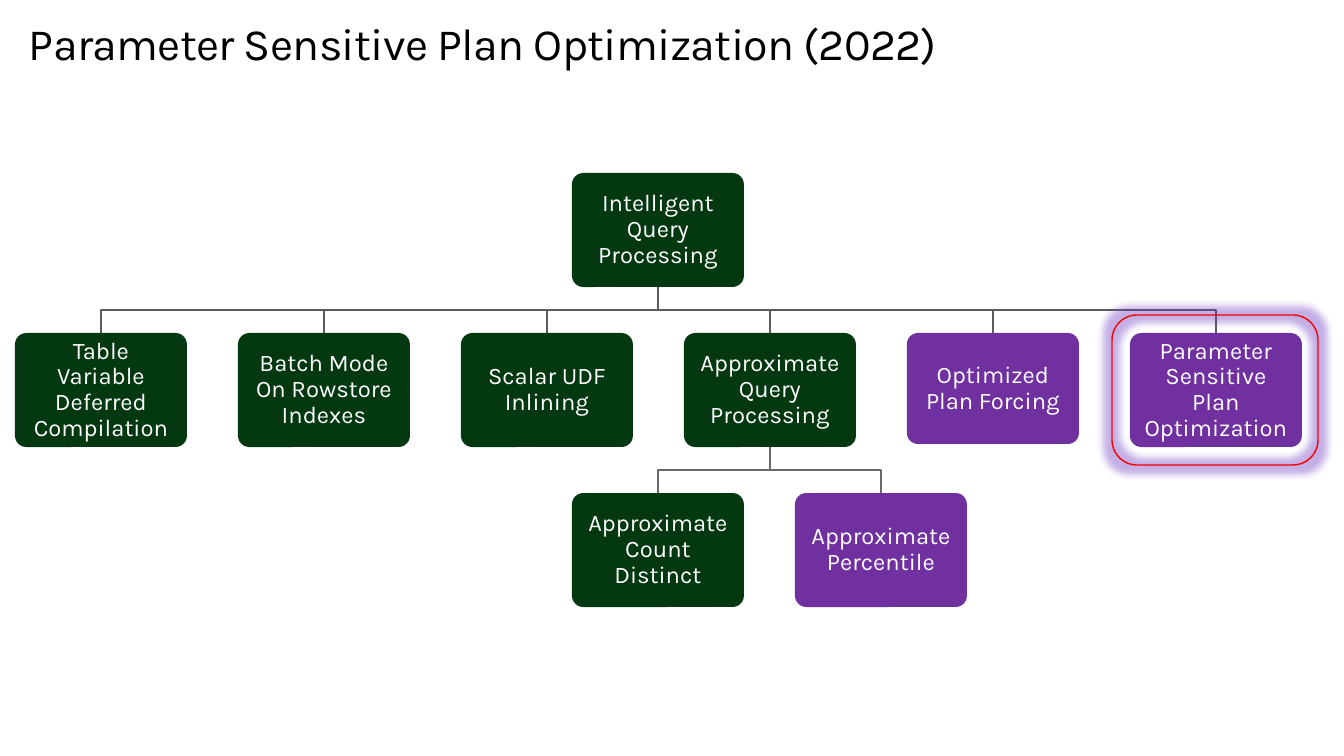
import pptx
import pptx.util
import pptx.dml.color
import pptx.enum.shapes
import pptx.enum.text
import pptx.oxml
import pptx.oxml.ns

RGBColor = pptx.dml.color.RGBColor
BLACK = RGBColor(0x00, 0x00, 0x00)
WHITE = RGBColor(0xFF, 0xFF, 0xFF)
GREEN = RGBColor(0x04, 0x38, 0x11)
PURPLE = RGBColor(0x70, 0x30, 0xA0)
RED = RGBColor(0xFF, 0x00, 0x00)
UPPER_LINK = RGBColor(0x5C, 0x5C, 0x5C)
LOWER_LINK = RGBColor(0x68, 0x68, 0x68)
GLOW = RGBColor(0x6A, 0x35, 0xC0)

EMU_PER_PX = 914400 / 100.8
FONT = "Karla"

# Tree grid in px
LEFT, TOP = 15, 173
COLUMN_STEP, ROW_STEP = 223, 160
BOX_WIDTH, BOX_HEIGHT = 172, 114

# Text, column, row, colour, height
ROOT = ("Intelligent Query Processing", 2.5, 0, GREEN, BOX_HEIGHT)
APPROXIMATE = ("Approximate Query Processing", 3, 1, GREEN, BOX_HEIGHT)
FEATURES = [
    ("Table Variable Deferred Compilation", 0, 1, GREEN, BOX_HEIGHT),
    ("Batch Mode On Rowstore Indexes", 1, 1, GREEN, BOX_HEIGHT),
    ("Scalar UDF Inlining", 2, 1, GREEN, BOX_HEIGHT),
    APPROXIMATE,
    ("Optimized Plan Forcing", 4, 1, PURPLE, 111),
    ("Parameter Sensitive Plan Optimization", 5, 1, PURPLE, BOX_HEIGHT),
]
APPROXIMATE_FEATURES = [
    ("Approximate Count Distinct", 2.5, 2, GREEN, BOX_HEIGHT),
    ("Approximate Percentile", 3.5, 2, PURPLE, BOX_HEIGHT),
]


def px(length):
    return pptx.util.Emu(round(length * EMU_PER_PX))


def corner(node):
    """Left and top of a tree node."""
    return LEFT + int(COLUMN_STEP * node[1]), TOP + ROW_STEP * node[2]


class TreeSlide:
    def __init__(self, deck):
        self.slide = deck.slides.add_slide(deck.slide_layouts[6])
        self.shapes = self.slide.shapes

    def add_text(self, box, text, size, color, margins):
        frame = box.text_frame
        frame.word_wrap = True
        frame.margin_left = frame.margin_right = px(margins[0])
        frame.margin_top = frame.margin_bottom = px(margins[1])
        para = frame.paragraphs[0]
        span = para.add_run()
        span.text = text
        span.font.name = FONT
        span.font.size = pptx.util.Pt(size)
        span.font.color.rgb = color
        return para, span

    def title(self, text, left, top, width, height):
        box = self.shapes.add_textbox(px(left), px(top), px(width), px(height))
        para, span = self.add_text(box, text, 32, BLACK, (0, 0))
        para.line_spacing = pptx.util.Pt(36.2)
        span.font._element.set("spc", "-50")

    def rounded(self, left, top, width, height):
        box = self.shapes.add_shape(
            pptx.enum.shapes.MSO_SHAPE.ROUNDED_RECTANGLE,
            px(left), px(top), px(width), px(height))
        box.shadow.inherit = False
        return box

    def node(self, node):
        text, _, _, color, height = node
        box = self.rounded(*corner(node), BOX_WIDTH, height)
        box.adjustments[0] = 0.1
        box.fill.solid()
        box.fill.fore_color.rgb = color
        box.line.fill.background()
        box.text_frame.vertical_anchor = pptx.enum.text.MSO_ANCHOR.MIDDLE
        para, _ = self.add_text(box, text, 17, WHITE, (10, 4))
        para.alignment = pptx.enum.text.PP_ALIGN.CENTER
        para.line_spacing = 0.9

    def link(self, parent, child, color):
        (start_x, start_y), (end_x, end_y) = corner(parent), corner(child)
        start_x += BOX_WIDTH // 2
        end_x += BOX_WIDTH // 2
        start_y += BOX_HEIGHT
        middle = (start_y + end_y) // 2
        builder = self.shapes.build_freeform(start_x, start_y, scale=EMU_PER_PX)
        builder.add_line_segments(
            [(start_x, middle), (end_x, middle), (end_x, end_y)], close=False)
        line = builder.convert_to_shape()
        line.shadow.inherit = False
        line.fill.background()
        line.line.color.rgb = color
        line.line.width = pptx.util.Pt(1)

    def branch(self, parent, children, color):
        for child in children:
            self.link(parent, child, color)
        for child in children:
            self.node(child)

    def highlight(self, left, top, width, height):
        frame = self.rounded(left, top, width, height)
        frame.fill.background()
        frame.line.color.rgb = RED
        frame.line.width = pptx.util.Pt(1)
        effects = frame._element.spPr.find(pptx.oxml.ns.qn("a:effectLst"))
        effects.append(pptx.oxml.parse_xml(
            f'<a:glow {pptx.oxml.ns.nsdecls("a")} rad="139700">'
            f'<a:srgbClr val="{GLOW}"><a:alpha val="40000"/></a:srgbClr></a:glow>'))


def main():
    deck = pptx.Presentation()
    deck.slide_width = px(1344)
    deck.slide_height = px(756)
    page = TreeSlide(deck)

    # Heading
    page.title("Parameter Sensitive Plan Optimization (2022)", 29, 19, 1272, 126)

    # Feature tree
    page.node(ROOT)
    page.branch(ROOT, FEATURES, UPPER_LINK)
    page.branch(APPROXIMATE, APPROXIMATE_FEATURES, LOWER_LINK)

    # Glowing frame around the current topic
    page.highlight(1112, 315, 206, 150)

    deck.save("out.pptx")


if __name__ == "__main__":
    main()
